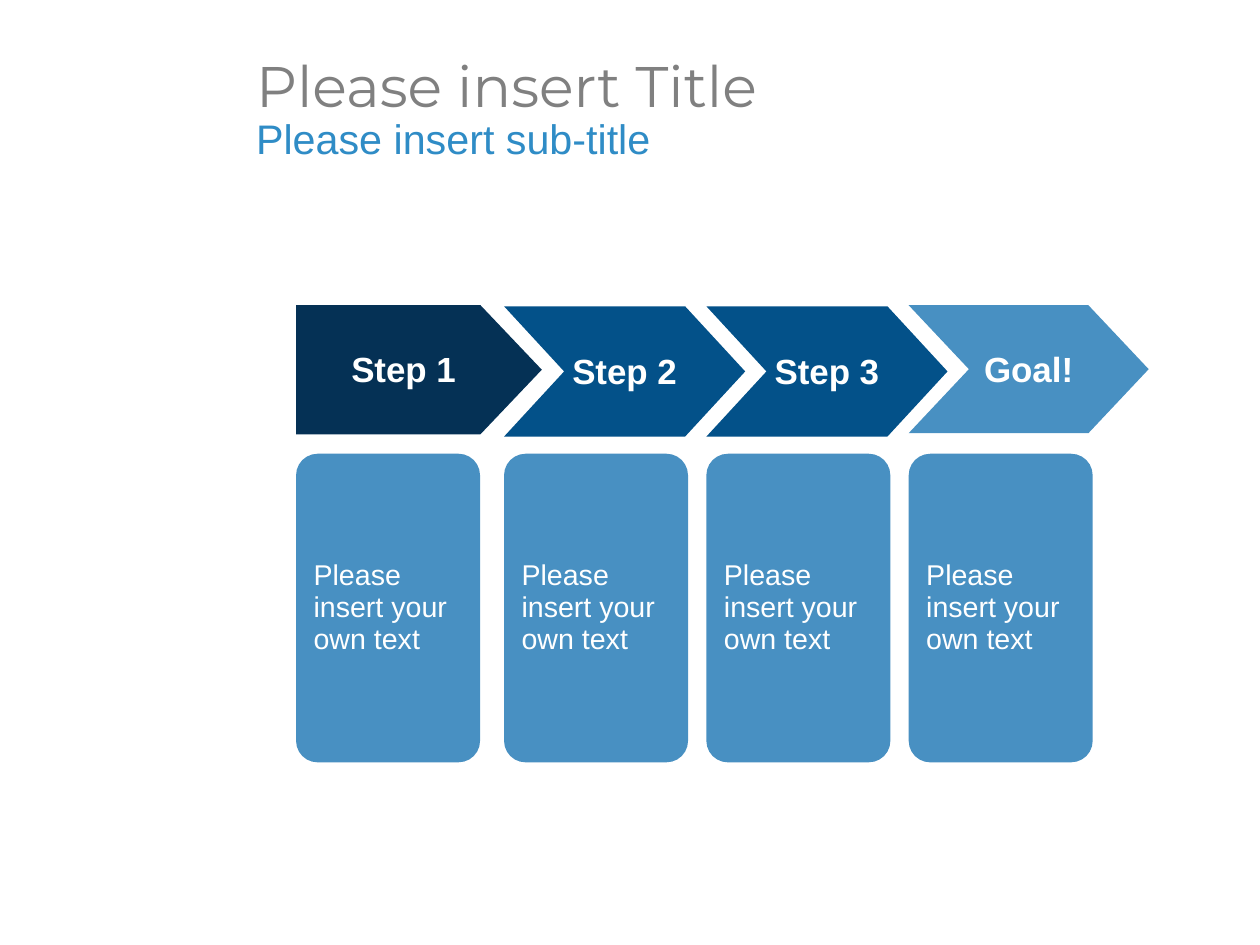
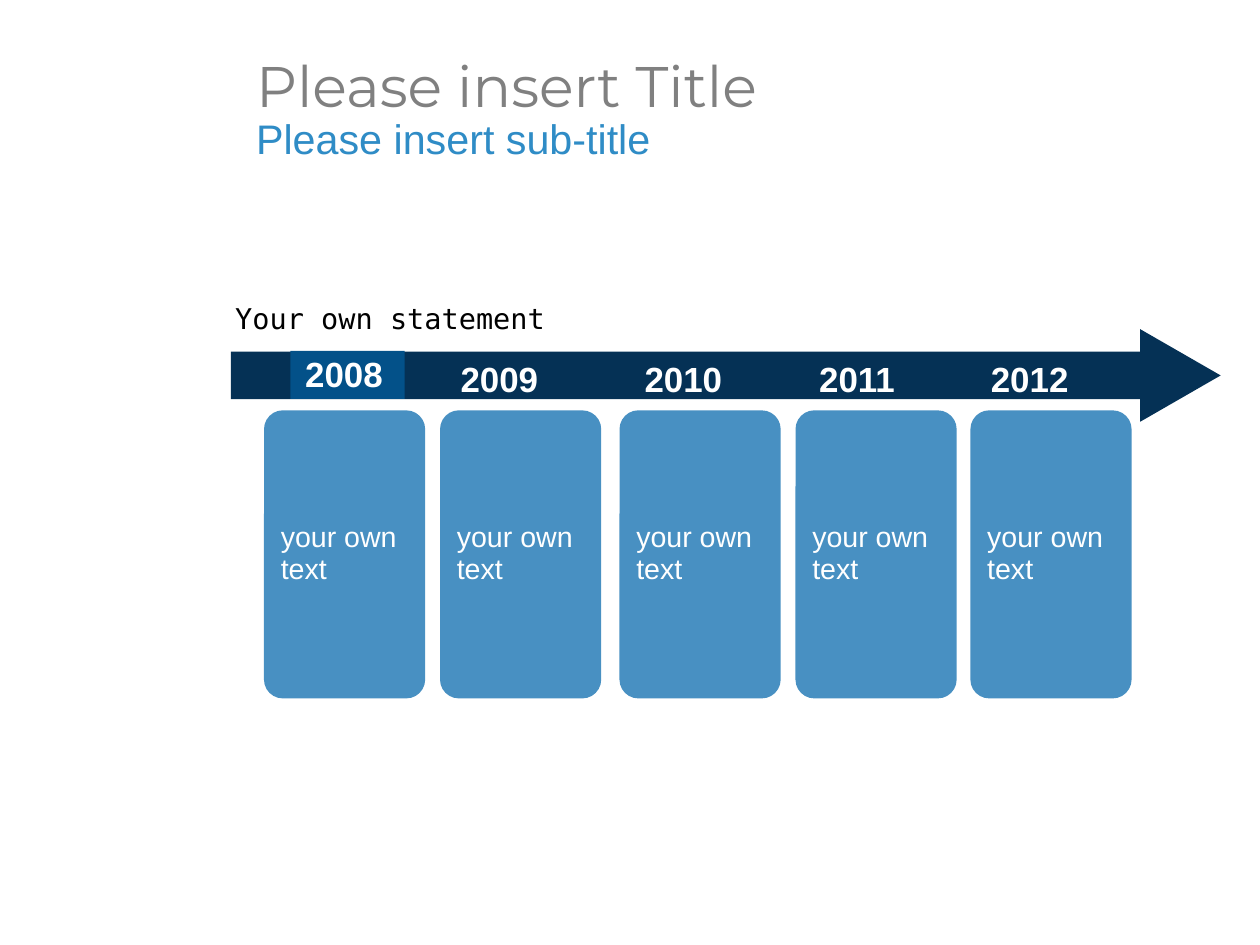
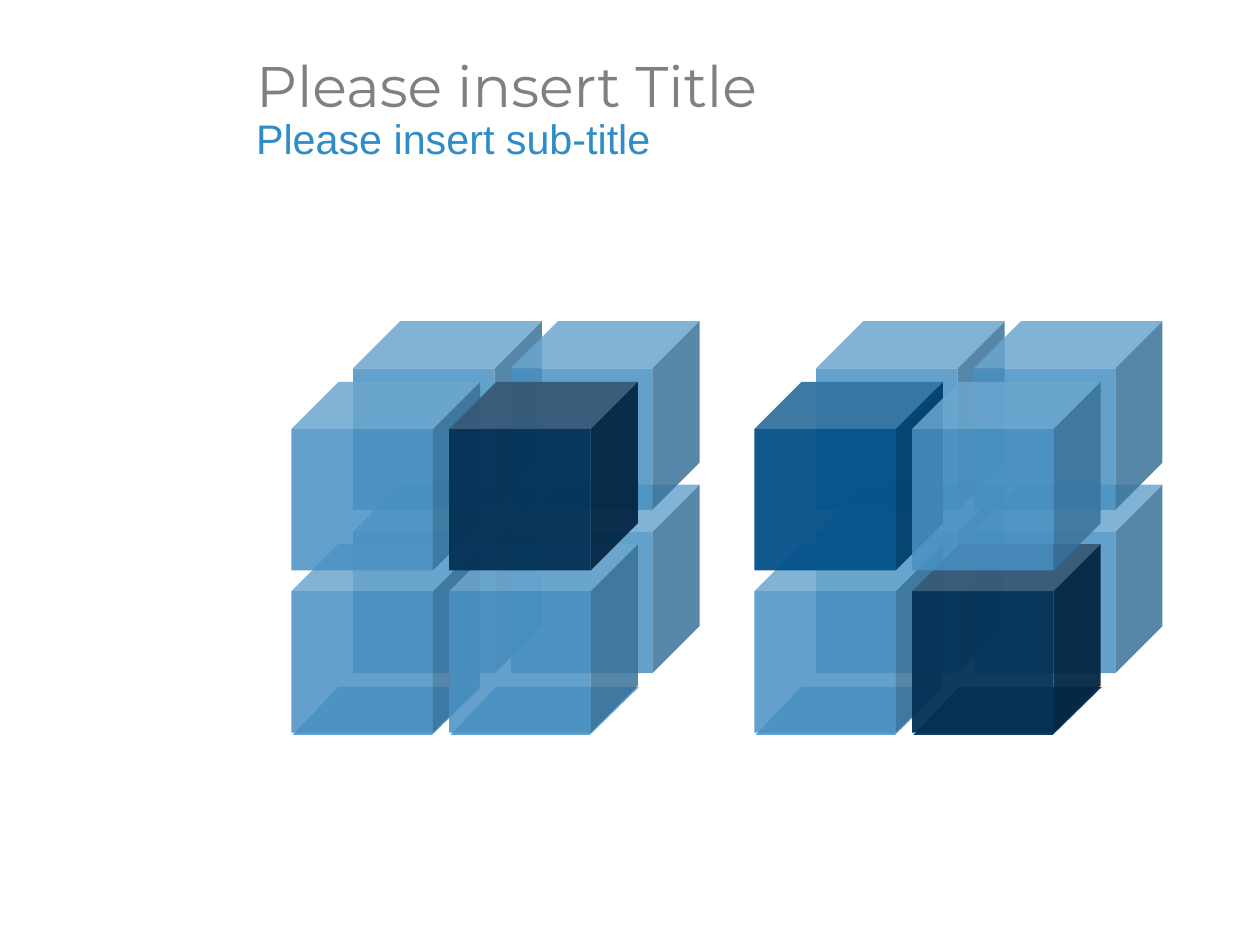
"""Builds three slides: a step process, a timeline and two blocks of cubes."""
from dataclasses import dataclass

from lxml import etree
from pptx import Presentation
from pptx.dml.color import RGBColor
from pptx.enum import shapes as sh, text as tx
from pptx.oxml.ns import qn
from pptx.util import Inches, Pt


@dataclass(frozen=True)
class Theme:
    navy: str = "053155"
    blue: str = "035189"
    sky: str = "4890C2"
    accent: str = "2F8CC6"
    grey: str = "808080"
    white: str = "FFFFFF"
    black: str = "000000"
    sans: str = "Arial"
    display: str = "Montserrat"
    mono: str = "DejaVu Sans Mono"
    title_size: int = 36
    subtitle_size: int = 26
    label_size: int = 22
    text_size: int = 18


T = Theme()
MSO = sh.MSO_SHAPE
LEFT, CENTER = tx.PP_ALIGN.LEFT, tx.PP_ALIGN.CENTER
TOP, MIDDLE = tx.MSO_ANCHOR.TOP, tx.MSO_ANCHOR.MIDDLE

CM_PER_INCH = 2.54
SLIDE_CM = (28, 21)
TITLE, SUBTITLE = "Please insert Title", "Please insert sub-title"
TITLE_AREA = (2.14, 0.28, 8.11, 0.78)
SUBTITLE_AREA = (2.14, 0.98, 8.11, 0.48)

STYLES = {
    "title": dict(font=T.display, size=T.title_size, color=T.grey, spacing=1.18),
    "subtitle": dict(font=T.sans, size=T.subtitle_size, color=T.accent),
    "label": dict(size=T.label_size, bold=True, align=CENTER, anchor=MIDDLE,
                  top=0.07),
    "first year": dict(size=T.label_size, bold=True, align=CENTER, anchor=MIDDLE,
                       top=0.07, right=0.16),
    "years": dict(size=T.label_size, bold=True, anchor=MIDDLE, top=0.14),
    "card": dict(size=T.text_size, anchor=MIDDLE),
    "statement": dict(font=T.mono, size=T.text_size, color=T.black, spacing=1.12),
}

STEPS = [
    ("Step 1", MSO.PENTAGON, T.navy, (2.59, 2.67, 2.15, 1.13), 0.475),
    ("Step 2", MSO.CHEVRON, T.blue, (4.41, 2.68, 2.11, 1.14), 0.461),
    ("Step 3", MSO.CHEVRON, T.blue, (6.18, 2.68, 2.11, 1.14), 0.461),
    ("Goal!", MSO.CHEVRON, T.sky, (7.95, 2.67, 2.1, 1.12), 0.471),
]
STEP_TEXT = "Please insert your own text"

STATEMENT = "Your own statement"
FIRST_YEAR = "2008"
ARROW_AREA = (2.02, 2.88, 8.66, 0.81)
YEAR_CENTERS = {"2009": 4.37, "2010": 5.98, "2011": 7.5, "2012": 9.01}
YEAR_CARD_LEFTS = [2.31, 3.85, 5.42, 6.96, 8.49]
YEAR_TEXT = "your own text"

CUBE, COLUMN_STEP = 1.65, 1.38
BACK_OFFSET, BACK_ROWS = 0.54, (4.24, 2.81)
FRONT_ROWS = (4.76, 3.34)
BASE_TOP = 6.01
BASE_OUTLINE = [(0.4, 0), (1.65, 0), (1.22, 0.42), (0, 0.42)]
CUBE_BLOCKS = [
    (2.55, ((T.sky, T.sky), (T.sky, T.navy))),
    (6.6, ((T.sky, T.navy), (T.blue, T.sky))),
]


def write(shape, words, style, wrap=True):
    look = dict(font=T.sans, color=T.white, spacing=0.93, bold=False,
                align=LEFT, anchor=TOP, top=0.05, right=0.1) | STYLES[style]
    frame = shape.text_frame
    frame.text = words
    paragraph = frame.paragraphs[0]
    font = paragraph.runs[0].font
    formats = [
        (frame, dict(word_wrap=wrap, auto_size=tx.MSO_AUTO_SIZE.NONE,
                     vertical_anchor=look["anchor"],
                     margin_left=Inches(0.1), margin_right=Inches(look["right"]),
                     margin_top=Inches(look["top"]), margin_bottom=Inches(0.05))),
        (paragraph, dict(alignment=look["align"], line_spacing=look["spacing"],
                         space_before=Pt(0))),
        (font, dict(name=look["font"], size=Pt(look["size"]), bold=look["bold"])),
    ]
    for target, values in formats:
        for key, value in values.items():
            setattr(target, key, value)
    font.color.rgb = RGBColor.from_string(look["color"])
    return paragraph._p.get_or_add_pPr()


def paint(shape, color, opacity=100):
    shape.shadow.inherit = False
    shape.line.fill.background()
    shape.fill.solid()
    shape.fill.fore_color.rgb = RGBColor.from_string(color)
    if opacity < 100:
        tint = shape.fill._xPr.find(qn("a:solidFill"))[0]
        etree.SubElement(tint, qn("a:alpha"), val=str(opacity * 1000))


def draw(slide, preset, area, color, adjustments=(), opacity=100):
    shape = slide.shapes.add_shape(preset, *map(Inches, area))
    for index, value in enumerate(adjustments):
        shape.adjustments[index] = value
    paint(shape, color, opacity)
    return shape


def add_card(slide, area, words):
    write(draw(slide, MSO.ROUNDED_RECTANGLE, area, T.sky, [0.117]), words, "card")


def place_headings(layout):
    for heading, area in zip(layout.placeholders, (TITLE_AREA, SUBTITLE_AREA)):
        for key, value in zip(("left", "top", "width", "height"), area):
            setattr(heading, key, Inches(value))


def add_slide(deck):
    slide = deck.slides.add_slide(deck.slide_layouts[1])
    write(slide.shapes.title, TITLE, "title")
    properties = write(slide.placeholders[1], SUBTITLE, "subtitle")
    for key in ("marL", "indent"):
        properties.set(key, "0")
    etree.SubElement(properties, qn("a:buNone"))
    return slide


def build_steps(slide):
    for name, preset, color, area, point in STEPS:
        write(draw(slide, preset, area, color, [point]), name, "label", wrap=False)
        add_card(slide, (area[0], 3.97, 1.61, 2.7), STEP_TEXT)


def build_timeline(slide):
    arrow = draw(slide, MSO.RIGHT_ARROW, ARROW_AREA, T.navy, [0.513, 0.869])
    properties = write(arrow, "\t" + "\t".join(YEAR_CENTERS), "years")
    tabs = etree.SubElement(properties, qn("a:tabLst"))
    for center in YEAR_CENTERS.values():
        stop = Inches(center - ARROW_AREA[0] - 0.1)
        etree.SubElement(tabs, qn("a:tab"), pos=str(int(stop)), algn="ctr")
    first = draw(slide, MSO.RECTANGLE, (2.54, 3.07, 1, 0.42), T.blue)
    write(first, FIRST_YEAR, "first year")
    for left in YEAR_CARD_LEFTS:
        add_card(slide, (left, 3.59, 1.41, 2.52), YEAR_TEXT)
    statement = slide.shapes.add_textbox(*map(Inches, (1.96, 2.55, 5.17, 0.43)))
    write(statement, STATEMENT, "statement")


def add_cube(slide, left, top, color):
    opacity = 85 if color == T.sky else 95
    if top == FRONT_ROWS[0]:
        corners = [(Inches(left + 0.01 + x), Inches(BASE_TOP + y))
                   for x, y in BASE_OUTLINE]
        outline = slide.shapes.build_freeform(*corners[0])
        outline.add_line_segments(corners[1:], close=True)
        paint(outline.convert_to_shape(), color, opacity)
    draw(slide, MSO.CUBE, (left, top, CUBE, CUBE), color, [0.25], opacity)


def build_cubes(slide):
    for block_left, front_colors in CUBE_BLOCKS:
        for column in range(2):
            for top in BACK_ROWS:
                left = block_left + BACK_OFFSET + column * COLUMN_STEP
                add_cube(slide, left, top, T.sky)
        for top, colors in zip(FRONT_ROWS, front_colors):
            for column, color in enumerate(colors):
                add_cube(slide, block_left + column * COLUMN_STEP, top, color)


def main():
    deck = Presentation()
    deck.slide_width, deck.slide_height = (
        Inches(side / CM_PER_INCH) for side in SLIDE_CM)
    place_headings(deck.slide_layouts[1])
    for build in (build_steps, build_timeline, build_cubes):
        build(add_slide(deck))
    deck.save("out.pptx")


if __name__ == "__main__":
    main()
